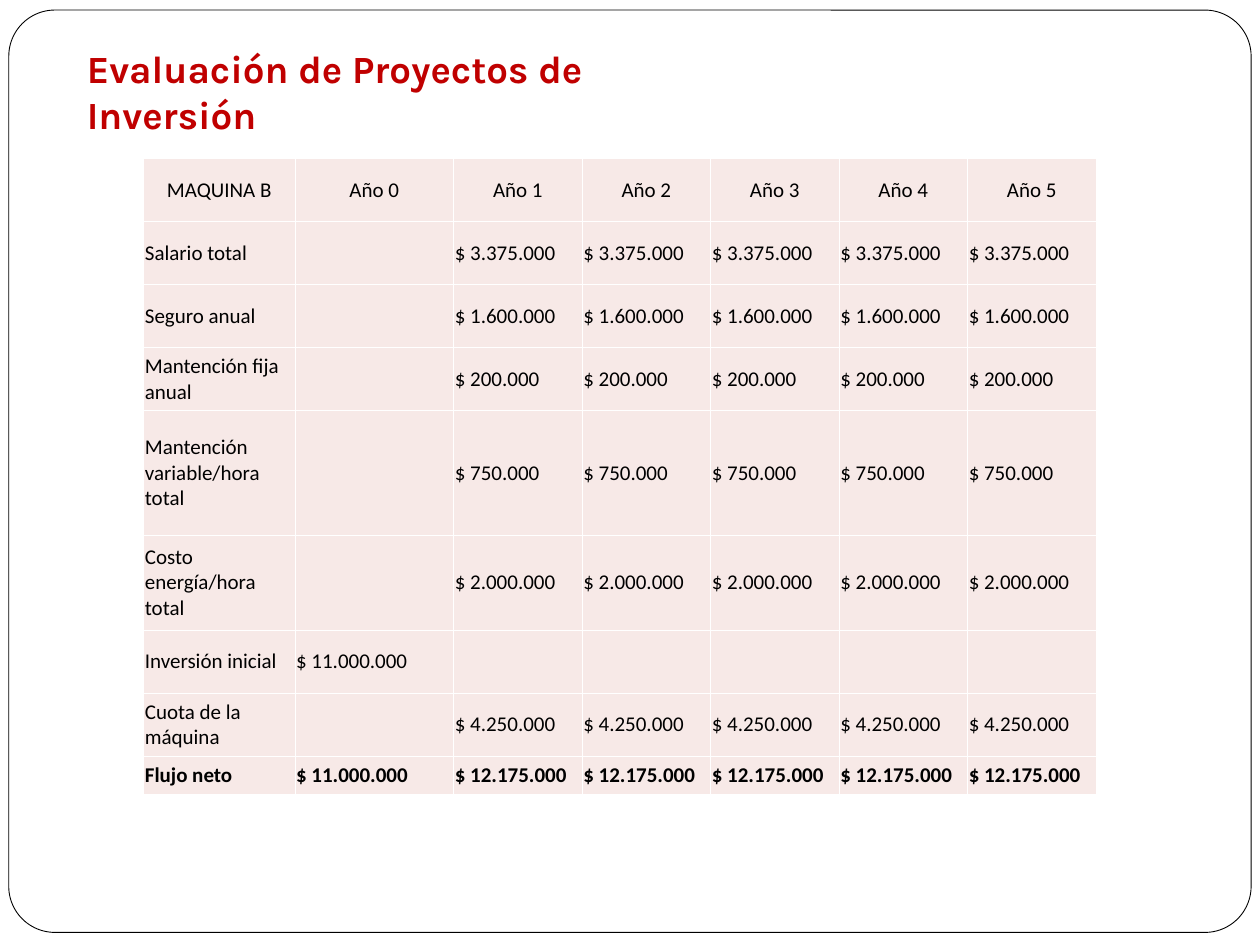
import pptx
import pptx.util
import pptx.dml.color
import pptx.enum.shapes
import pptx.enum.text
import pptx.oxml
import pptx.oxml.ns
from pptx.util import Inches

COLORS = {"white": "FFFFFF", "black": "000000", "red": "C00000", "pink": "F7E9E7"}
ALIGN = pptx.enum.text.PP_ALIGN
ANCHOR = pptx.enum.text.MSO_ANCHOR


def rgb(name):
    return pptx.dml.color.RGBColor.from_string(COLORS[name])


class SlideBuilder:
    def __init__(self, s):
        self.s = s
        self.body_font = "Calibri"
        self.title_font = "Karla"

    def set_text(self, p, text, font, size, color, bold=False, align=ALIGN.LEFT):
        p.text = text
        p.alignment = align
        p.font.name = font
        p.font.size = pptx.util.Pt(size)
        p.font.bold = bold
        p.font.color.rgb = rgb(color)

    def frame(self, x, y, w, h, radius):
        sp = self.s.shapes.add_shape(
            pptx.enum.shapes.MSO_SHAPE.ROUNDED_RECTANGLE,
            Inches(x), Inches(y), Inches(w), Inches(h))
        sp.adjustments[0] = radius
        sp.shadow.inherit = False
        sp.fill.solid()
        sp.fill.fore_color.rgb = rgb("white")
        sp.line.color.rgb = rgb("black")
        sp.line.width = pptx.util.Pt(0.5)

    def title(self, text, x, y, w, h):
        sp = self.s.shapes.add_textbox(Inches(x), Inches(y), Inches(w), Inches(h))
        tf = sp.text_frame
        tf.word_wrap = True
        tf.vertical_anchor = ANCHOR.BOTTOM
        tf.margin_bottom = Inches(0.1)
        self.set_text(tf.paragraphs[0], text, self.title_font, 22, "red", True)

    def borders(self, cell):
        tc_pr = cell._tc.get_or_add_tcPr()
        ns = pptx.oxml.ns.nsdecls("a")
        for i, side in enumerate(("lnL", "lnR", "lnT", "lnB")):
            tc_pr.insert(i, pptx.oxml.parse_xml(
                f'<a:{side} {ns} w="{pptx.util.Pt(0.45)}"><a:solidFill>'
                f'<a:srgbClr val="{COLORS["white"]}"/></a:solidFill></a:{side}>'))

    def cell(self, cell, text, align, bold):
        cell.fill.solid()
        cell.fill.fore_color.rgb = rgb("pink")
        cell.vertical_anchor = ANCHOR.MIDDLE
        cell.margin_left = cell.margin_right = Inches(0.01)
        self.borders(cell)
        self.set_text(cell.text_frame.paragraphs[0], text, self.body_font, 12,
                      "black", bold, align)

    def table(self, rows, x, y, widths, heights):
        table = self.s.shapes.add_table(
            len(rows), len(widths), Inches(x), Inches(y),
            Inches(sum(widths)), Inches(sum(heights))).table
        for column, width in zip(table.columns, widths):
            column.width = Inches(width)
        for r, (values, height) in enumerate(zip(rows, heights)):
            table.rows[r].height = Inches(height)
            for c, text in enumerate(values):
                if r == 0:
                    align = ALIGN.CENTER
                else:
                    align = ALIGN.JUSTIFY if c else ALIGN.LEFT
                self.cell(table.cell(r, c), text, align, r == len(rows) - 1)


def main():
    prs = pptx.Presentation()
    prs.slide_width = Inches(10)
    prs.slide_height = Inches(7.5)
    slide = SlideBuilder(prs.slides.add_slide(prs.slide_layouts[6]))

    years = 5
    costs = [
        ("Salario total", "", "$ 3.375.000"),
        ("Seguro anual", "", "$ 1.600.000"),
        ("Mantención fija anual", "", "$ 200.000"),
        ("Mantención variable/hora total", "", "$ 750.000"),
        ("Costo energía/hora total", "", "$ 2.000.000"),
        ("Inversión inicial", "$ 11.000.000", ""),
        ("Cuota de la máquina", "", "$ 4.250.000"),
        ("Flujo neto", "$ 11.000.000", "$ 12.175.000"),
    ]
    rows = [["MAQUINA B"] + [f"Año {n}" for n in range(years + 1)]]
    rows += [[label, initial] + [yearly] * years for label, initial, yearly in costs]

    slide.frame(0.07, 0.08, 9.86, 7.32, 0.05)
    slide.title("Evaluación de Proyectos de Inversión", 0.59, 0.68, 5.12, 0.51)
    slide.table(rows, 1.14, 1.26, [1.2, 1.26] + [1.02] * years,
                [0.5] * 4 + [0.99, 0.75, 0.5, 0.5, 0.25])
    prs.save("out.pptx")


if __name__ == "__main__":
    main()
